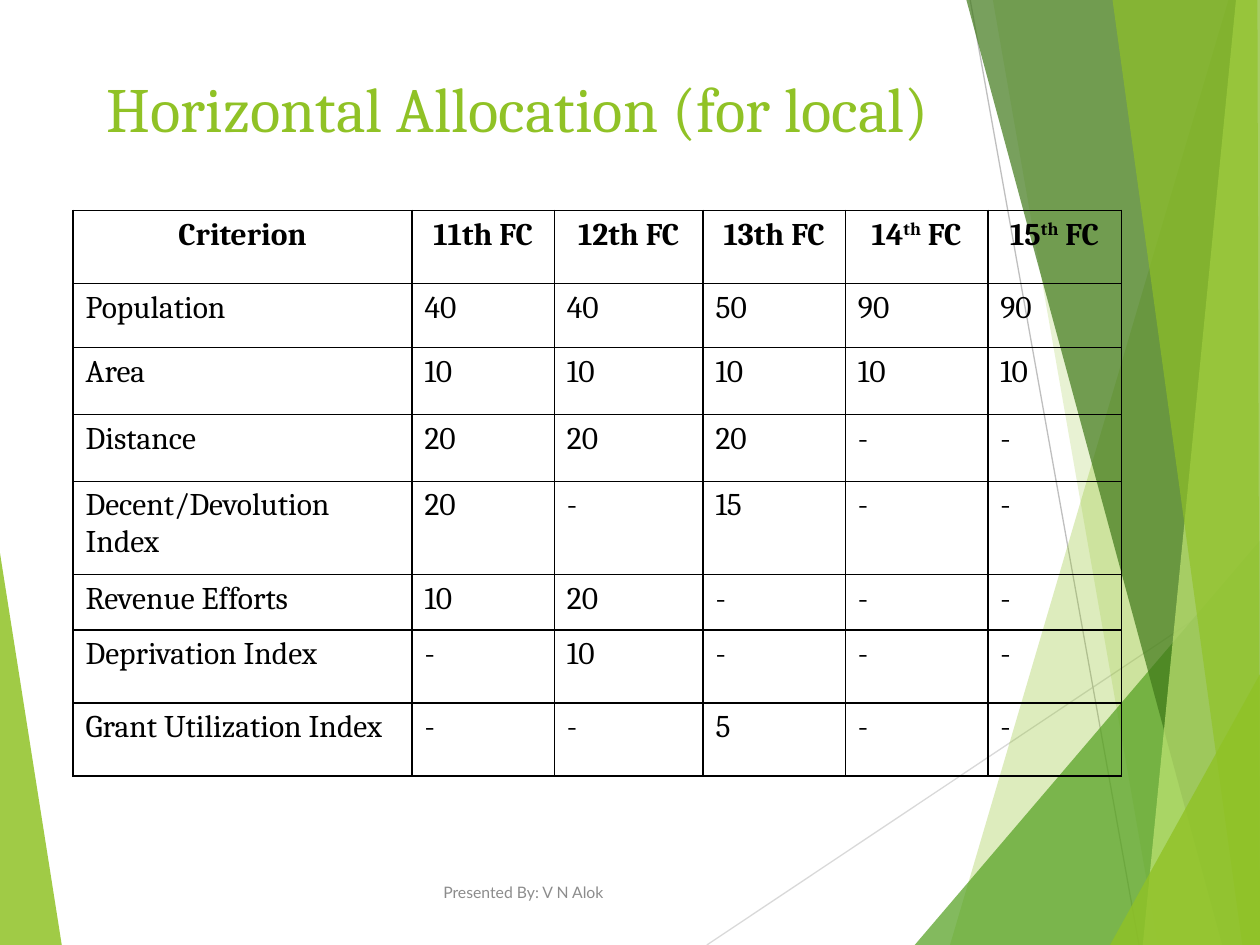
from lxml import etree
from pptx import Presentation
from pptx.dml.color import RGBColor
from pptx.enum.shapes import MSO_CONNECTOR
from pptx.enum.text import MSO_ANCHOR, PP_ALIGN
from pptx.oxml import parse_xml
from pptx.oxml.ns import nsdecls, qn
from pptx.util import Inches, Pt


def rgb(value):
    return RGBColor.from_string(value)


def style_run(run, size, font, color, bold=False):
    run.font.size = Pt(size)
    run.font.name = font
    run.font.color.rgb = rgb(color)
    run.font.bold = bold


prs = Presentation()
prs.slide_width = Inches(10)
prs.slide_height = Inches(7.5)
slide = prs.slides.add_slide(prs.slide_layouts[6])
shapes = slide.shapes

# Background: thin rays and translucent facets, back to front
LEFT_WEDGE = ([(0, 4.39), (0.49, 7.5), (0, 7.5)], "90C226", 85)
RAYS = [
    ((5.61, 7.5), (10, 4.57), "D9D9D9"),
    ((7.7, 0), (9.04, 7.5), "BFBFBF"),
]
RIGHT_FACETS = [
    ([(9.75, 0), (7.54, 7.5), (10, 7.5), (10, 0)], "90C226", 30),
    ([(7.88, 0), (9.19, 7.5), (10, 7.5), (10, 0)], "90C226", 20),
    ([(7.26, 7.5), (10, 4.29), (10, 7.5)], "54A021", 72),
    ([(7.67, 0), (9.7, 7.5), (10, 7.5), (10, 0)], "3F7819", 70),
    ([(9.81, 0), (9.07, 7.5), (10, 7.5), (10, 0)], "C0E474", 70),
    ([(8.83, 0), (9.86, 7.5), (10, 7.5), (9.98, 0)], "90C226", 65),
    ([(8.81, 7.5), (10, 5.35), (10, 7.5)], "90C226", 80),
]

for start, end, color in RAYS:
    ray = shapes.add_connector(
        MSO_CONNECTOR.STRAIGHT, *(Inches(v) for v in start + end))
    ray.line.color.rgb = rgb(color)
    ray.line.width = Pt(0.75)
    etree.SubElement(ray._element.spPr, qn("a:effectLst"))

for corners, color, opacity in [LEFT_WEDGE] + RIGHT_FACETS:
    points = [(Inches(x), Inches(y)) for x, y in corners]
    builder = shapes.build_freeform(*points[0])
    builder.add_line_segments(points[1:], close=True)
    facet = builder.convert_to_shape()
    facet.shadow.inherit = False
    facet.line.fill.background()
    facet.fill.solid()
    facet.fill.fore_color.rgb = rgb(color)
    tint = facet._element.spPr.find(qn("a:solidFill"))[0]
    etree.SubElement(tint, qn("a:alpha"), val=str(opacity * 1000))

# Title and footer
CAPTIONS = [
    ("Horizontal Allocation (for local)", (0.75, 0.5, 8.5, 1.33),
     MSO_ANCHOR.TOP, 36, "Cambria", "90C226"),
    ("Presented By: V N Alok", (3.42, 6.83, 3.17, 0.5),
     MSO_ANCHOR.MIDDLE, 9, "Lato", "8C8C8C"),
]
for text, place, anchor, size, font, color in CAPTIONS:
    frame = shapes.add_textbox(*(Inches(v) for v in place)).text_frame
    frame.word_wrap = True
    frame.vertical_anchor = anchor
    frame.text = text
    style_run(frame.paragraphs[0].runs[0], size, font, color)

# Allocation table; a header given as a tuple has a raised middle part
CRITERIA = [
    ["Criterion", "11th FC", "12th FC", "13th FC",
     ("14", "th", " FC"), ("15", "th", " FC")],
    ["Population", "40", "40", "50", "90", "90"],
    ["Area", "10", "10", "10", "10", "10"],
    ["Distance", "20", "20", "20", "-", "-"],
    ["Decent/Devolution Index", "20", "-", "15", "-", "-"],
    ["Revenue Efforts", "10", "20", "-", "-", "-"],
    ["Deprivation Index", "-", "10", "-", "-", "-"],
    ["Grant Utilization Index", "-", "-", "5", "-", "-"],
]
COLUMN_WIDTHS = [2.69, 1.13, 1.18, 1.13, 1.13, 1.06]
ROW_HEIGHTS = [0.58, 0.51, 0.53, 0.53, 0.74, 0.44, 0.58, 0.58]

allocation = shapes.add_table(
    len(ROW_HEIGHTS), len(COLUMN_WIDTHS),
    Inches(0.58), Inches(1.67), Inches(8.33), Inches(4.5)).table
allocation.first_row = False
allocation.horz_banding = False
for column, width in zip(allocation.columns, COLUMN_WIDTHS):
    column.width = Inches(width)
for row, height in zip(allocation.rows, ROW_HEIGHTS):
    row.height = Inches(height)

for r, values in enumerate(CRITERIA):
    for c, value in enumerate(values):
        cell = allocation.cell(r, c)
        cell.fill.background()
        for position, side in enumerate(("lnL", "lnR", "lnT", "lnB")):
            cell._tc.tcPr.insert(position, parse_xml(
                f'<a:{side} {nsdecls("a")} w="12700"><a:solidFill>'
                f'<a:srgbClr val="000000"/></a:solidFill></a:{side}>'))
        paragraph = cell.text_frame.paragraphs[0]
        if r == 0:
            paragraph.alignment = PP_ALIGN.CENTER
        parts = value if isinstance(value, tuple) else (value,)
        for i, part in enumerate(parts):
            run = paragraph.add_run()
            run.text = part
            style_run(run, 18, "Cambria", "000000", bold=r == 0)
            if i == 1:
                run.font._element.set("baseline", "30000")

prs.save("out.pptx")
